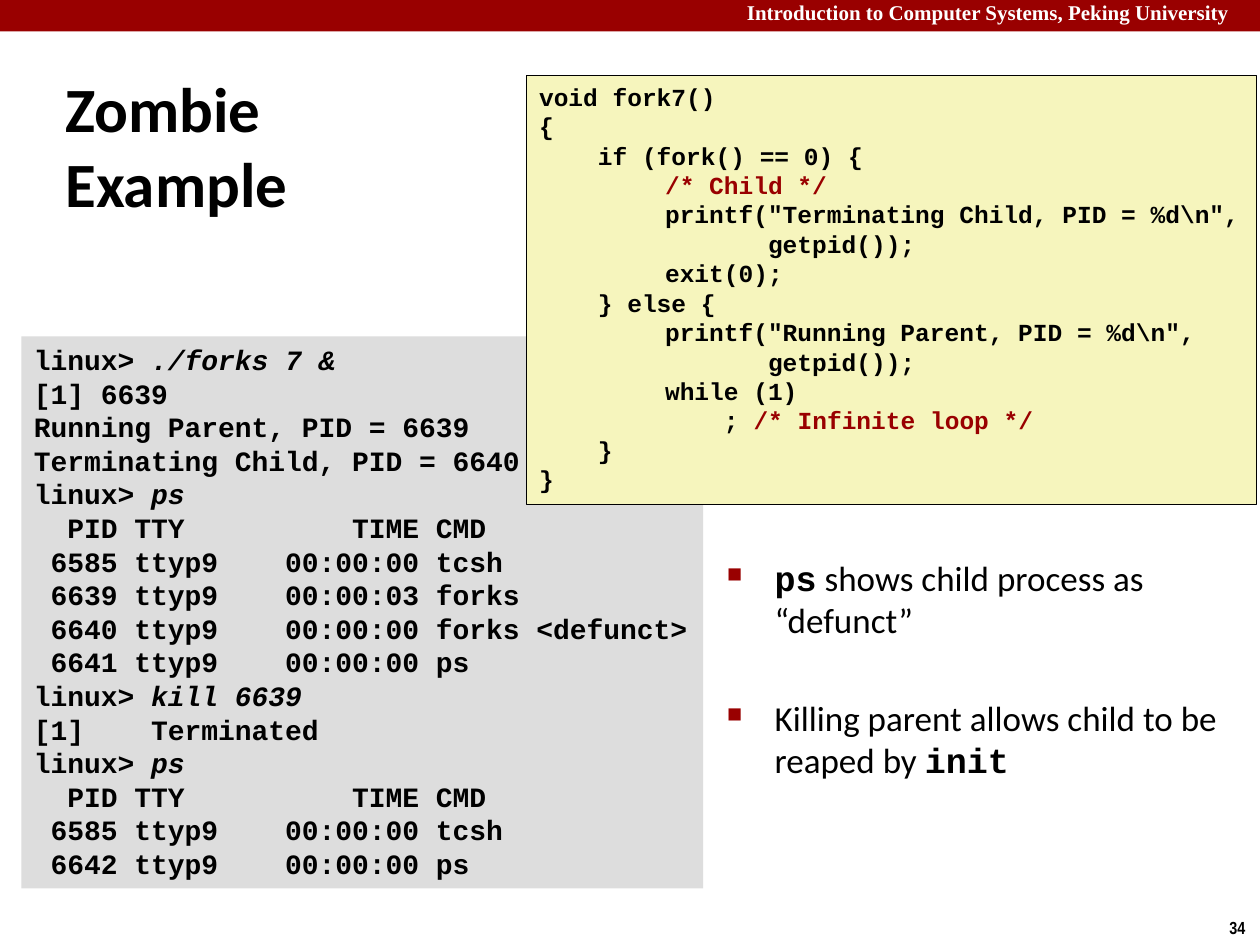
from lxml.etree import SubElement
from pptx import Presentation
from pptx.dml.color import RGBColor
from pptx.enum.shapes import MSO_SHAPE
from pptx.enum.text import MSO_ANCHOR, PP_ALIGN
from pptx.oxml.ns import qn
from pptx.util import Inches, Pt

RED = RGBColor(0x99, 0x00, 0x00)
BLACK = RGBColor(0x00, 0x00, 0x00)
WHITE = RGBColor(0xFF, 0xFF, 0xFF)
GRAY = RGBColor(0xDD, 0xDD, 0xDD)
YELLOW = RGBColor(0xF6, 0xF5, 0xBD)

PROMPT = "linux> "
SESSION = [
    "linux> ./forks 7 &",
    "[1] 6639",
    "Running Parent, PID = 6639",
    "Terminating Child, PID = 6640",
    "linux> ps",
    "  PID TTY          TIME CMD",
    " 6585 ttyp9    00:00:00 tcsh",
    " 6639 ttyp9    00:00:03 forks",
    " 6640 ttyp9    00:00:00 forks <defunct>",
    " 6641 ttyp9    00:00:00 ps",
    "linux> kill 6639",
    "[1]    Terminated",
    "linux> ps",
    "  PID TTY          TIME CMD",
    " 6585 ttyp9    00:00:00 tcsh",
    " 6642 ttyp9    00:00:00 ps",
]
CODE = [
    "void fork7()",
    "{",
    "    if (fork() == 0) {",
    "\t/* Child */",
    "\tprintf(\"Terminating Child, PID = %d\\n\",",
    "\t       getpid());",
    "\texit(0);",
    "    } else {",
    "\tprintf(\"Running Parent, PID = %d\\n\",",
    "\t       getpid());",
    "\twhile (1)",
    "\t    ; /* Infinite loop */",
    "    }",
    "}",
]


class SlideBuilder:
    mono = "Courier New"
    sans = "Calibri"

    def __init__(self, prs):
        self.s = prs.slides.add_slide(prs.slide_layouts[6])

    def run(self, p, text, size, font, color=BLACK, bold=True, italic=False):
        r = p.add_run()
        r.text = text
        r.font.size = Pt(size)
        r.font.name = font
        r.font.bold = bold
        r.font.italic = italic
        r.font.color.rgb = color

    def rect(self, x, y, w, h, fill, line=None):
        sp = self.s.shapes.add_shape(
            MSO_SHAPE.RECTANGLE, Inches(x), Inches(y), Inches(w), Inches(h))
        sp.shadow.inherit = False
        sp.fill.solid()
        sp.fill.fore_color.rgb = fill
        if line is None:
            sp.line.fill.background()
        else:
            sp.line.color.rgb = line
            sp.line.width = Pt(0.25)
        return sp

    def text_frame(self, x, y, w, h, wrap=True):
        tf = self.s.shapes.add_textbox(
            Inches(x), Inches(y), Inches(w), Inches(h)).text_frame
        tf.word_wrap = wrap
        return tf

    def label(self, x, y, w, h, text, size, font, color=BLACK, wrap=True):
        tf = self.text_frame(x, y, w, h, wrap)
        self.run(tf.paragraphs[0], text, size, font, color)

    def title(self, x, y, w, h, lines):
        tf = self.text_frame(x, y, w, h)
        tf.vertical_anchor = MSO_ANCHOR.MIDDLE
        p = tf.paragraphs[0]
        for i, line in enumerate(lines):
            if i:
                p.add_line_break()
            self.run(p, line, 36, self.sans)

    def listing(self, x, y, w, h, lines, size, fill, split, line=None, **accent):
        tf = self.rect(x, y, w, h, fill, line).text_frame
        tf.word_wrap = True
        tf.vertical_anchor = MSO_ANCHOR.TOP
        for i, text in enumerate(lines):
            p = tf.add_paragraph() if i else tf.paragraphs[0]
            p.alignment = PP_ALIGN.LEFT
            p.line_spacing = Pt(size * 1.2)
            tabs = SubElement(p._p.get_or_add_pPr(), qn("a:tabLst"))
            SubElement(tabs, qn("a:tab"), pos=str(Inches(1)), algn="l")
            plain, marked = split(text)
            if plain:
                self.run(p, plain, size, self.mono)
            if marked:
                self.run(p, marked, size, self.mono, **accent)

    def bullets(self, x, y, w, h, items):
        tf = self.text_frame(x, y, w, h)
        for i, item in enumerate(items):
            p = tf.add_paragraph() if i else tf.paragraphs[0]
            pPr = p._p.get_or_add_pPr()
            pPr.set("marL", str(Inches(0.38)))
            pPr.set("indent", str(-Inches(0.38)))
            clr = SubElement(pPr, qn("a:buClr"))
            SubElement(clr, qn("a:srgbClr"), val=str(RED))
            SubElement(pPr, qn("a:buSzPct"), val="60000")
            SubElement(pPr, qn("a:buChar"), char="■")
            if i:
                p.space_before = Pt(32)
            for text, is_code in item:
                self.run(p, text, 20, self.mono if is_code else self.sans, bold=is_code)


def split_command(text):
    if text.startswith(PROMPT):
        return PROMPT, text[len(PROMPT):]
    return text, ""


def split_comment(text):
    plain, mark, rest = text.partition("/*")
    return plain, mark + rest


def main():
    prs = Presentation()
    prs.slide_width, prs.slide_height = Inches(10), Inches(7.5)
    b = SlideBuilder(prs)
    b.rect(0, 0, 10, 0.25, RED)
    b.label(5.83, -0.05, 4.17, 0.3, "Introduction to Computer Systems, Peking University",
            12, "Times New Roman", WHITE)
    b.label(9.66, 7.23, 0.34, 0.27, "34", 10, "Arial Narrow", wrap=False)
    b.listing(0.17, 2.67, 5.41, 4.38, SESSION, 16, GRAY, split_command, italic=True)
    b.title(0.42, 0.55, 2.19, 1.2, ["Zombie", "Example"])
    b.bullets(5.67, 4.37, 4.33, 2.88, [
        [("ps", True), (" shows child process as “defunct”", False)],
        [("Killing parent allows child to be reaped by ", False), ("init", True)],
    ])
    b.listing(4.18, 0.6, 5.79, 3.4, CODE, 14, YELLOW, split_comment, line=BLACK, color=RED)
    prs.save("out.pptx")


if __name__ == "__main__":
    main()
